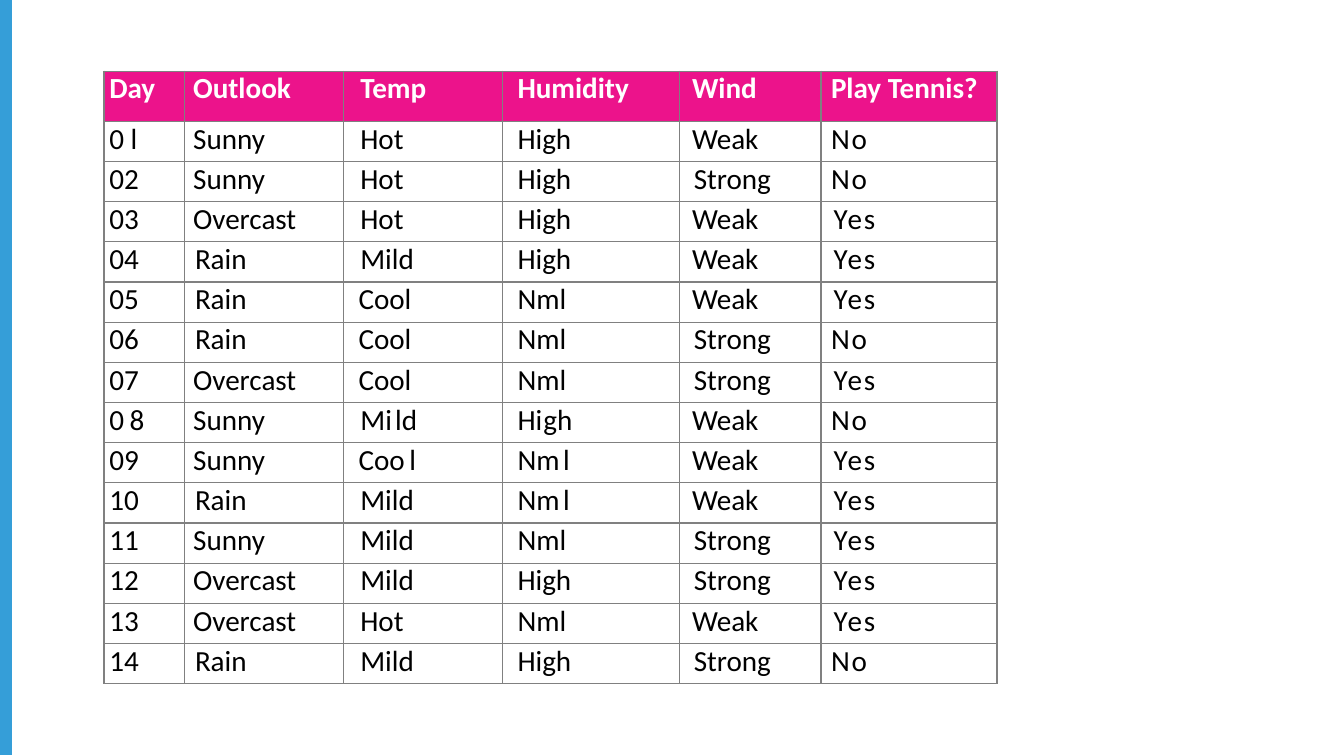
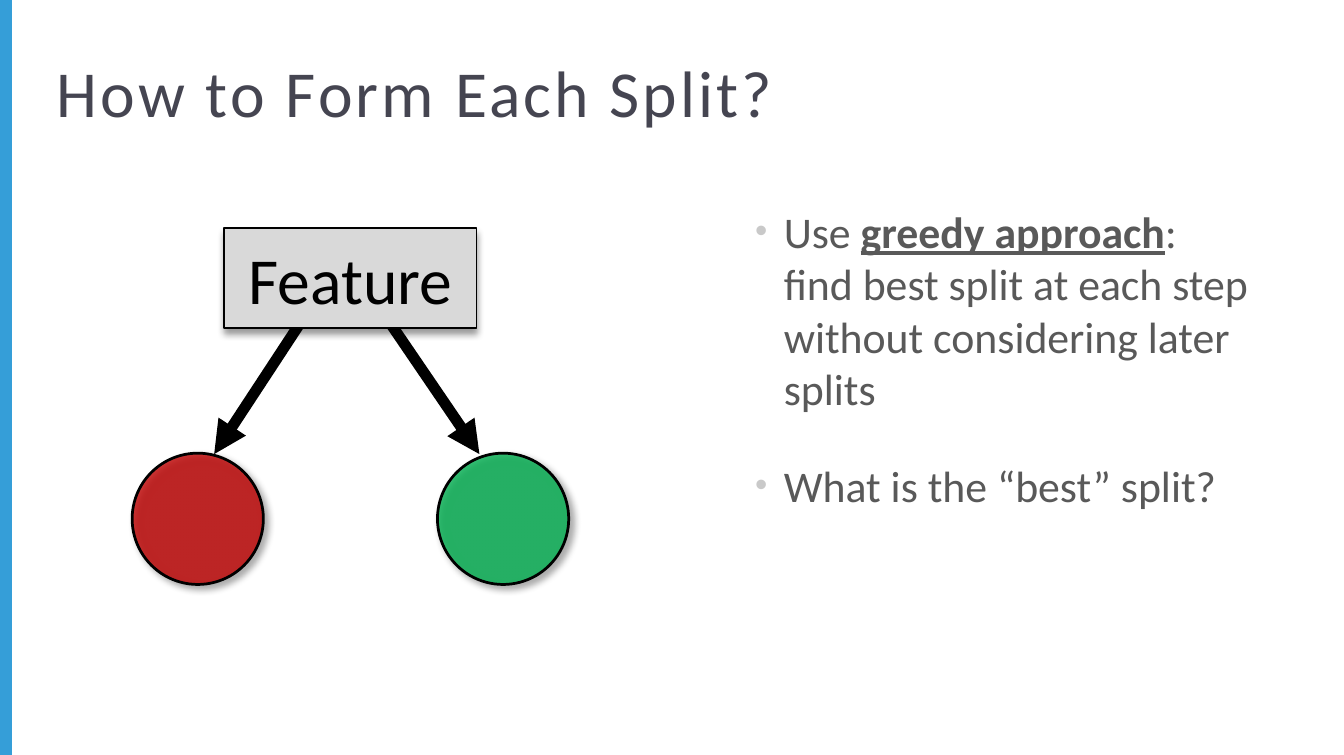
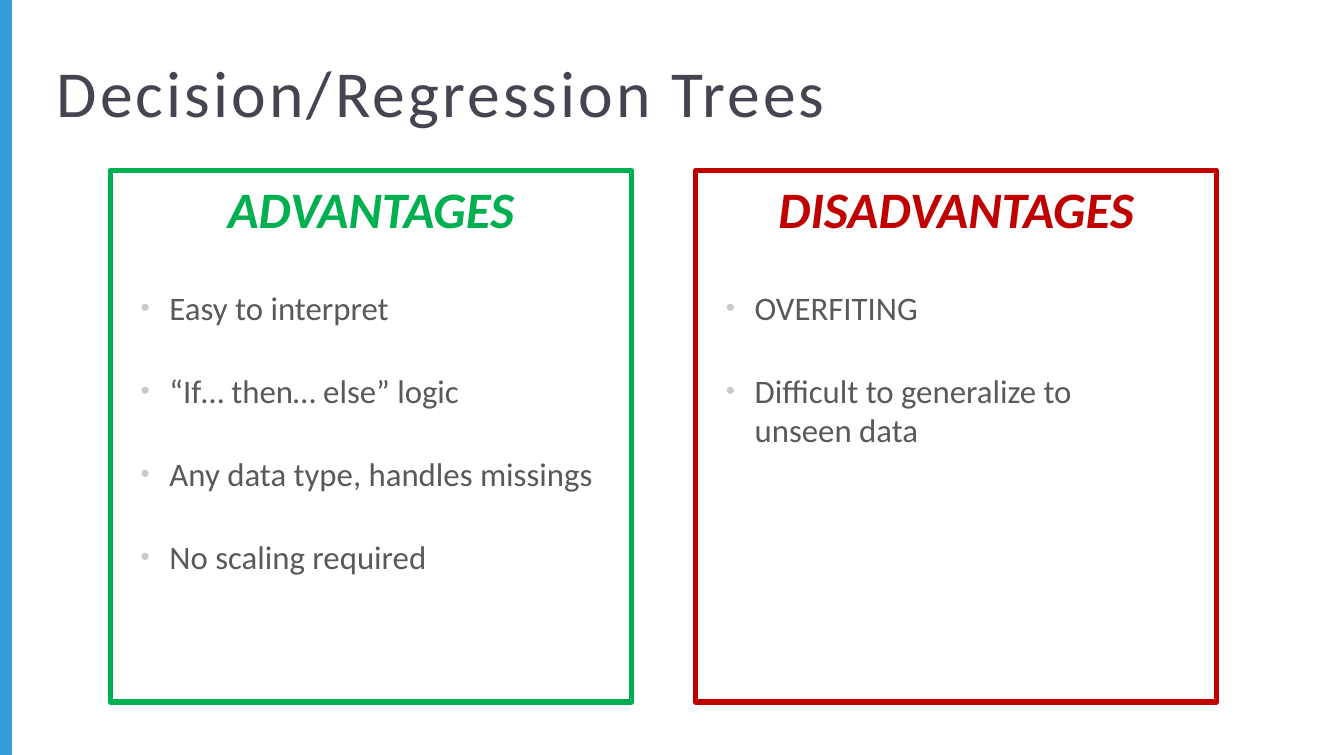
from dataclasses import dataclass
from itertools import product

from lxml.etree import SubElement as Sub
from pptx import Presentation
from pptx.dml.color import RGBColor as RGB
from pptx.enum.shapes import MSO_CONNECTOR as Link
from pptx.enum.shapes import MSO_SHAPE as Kind
from pptx.enum.text import MSO_ANCHOR as Anchor
from pptx.enum.text import MSO_AUTO_SIZE as Fit
from pptx.enum.text import PP_ALIGN as Align
from pptx.oxml import parse_xml
from pptx.oxml.ns import nsdecls, qn
from pptx.presentation import Presentation as Deck
from pptx.shapes.autoshape import Shape
from pptx.slide import Slide
from pptx.text.text import Font
from pptx.util import Pt


@dataclass(frozen=True)
class Theme:
    face: str = "Calibri"
    # Colours
    band: str = "359ED8"
    title: str = "454551"
    body: str = "595959"
    bullet: str = "C9C9C9"
    head: str = "EC138B"
    grid: str = "808080"
    box: str = "D9D9D9"
    green: str = "00B050"
    red: str = "C00000"
    black: str = "000000"
    white: str = "FFFFFF"
    # Type sizes
    big: float = 36
    label: float = 28
    lead: float = 24
    text: float = 18
    cell: float = 16


T = Theme()
WIDE, HIGH = 737.28, 414


@dataclass(frozen=True)
class Box:
    x: float
    y: float
    w: float
    h: float

    def lengths(self) -> tuple[Pt, ...]:
        return Pt(self.x), Pt(self.y), Pt(self.w), Pt(self.h)


@dataclass(frozen=True)
class Column:
    name: str
    width: float
    inset: float
    track: float = 0


@dataclass(frozen=True)
class Node:
    x: float
    color: str
    start: float
    tip: float


@dataclass(frozen=True)
class Panel:
    name: str
    color: str
    x: float
    width: float
    items: tuple[str, ...]


# Table content
COLS = (
    Column("Day", 44, 3),
    Column("Outlook", 87.25, 5),
    Column("Temp", 87.25, 9.5),
    Column("Humidity", 97.25, 8.5),
    Column("Wind", 77.75, 7),
    Column("Play Tennis?", 96.5, 5.5, 1),
)
DAYS = (
    ("0 l", "Sunny", "Hot", "High", "Weak", "No"),
    ("02", "Sunny", "Hot", "High", "Strong", "No"),
    ("03", "Overcast", "Hot", "High", "Weak", "Yes"),
    ("04", "Rain", "Mild", "High", "Weak", "Yes"),
    ("05", "Rain", "Cool", "Nml", "Weak", "Yes"),
    ("06", "Rain", "Cool", "Nml", "Strong", "No"),
    ("07", "Overcast", "Cool", "Nml", "Strong", "Yes"),
    ("08", "Sunny", "Mild", "High", "Weak", "No"),
    ("09", "Sunny", "Cool", "Nml", "Weak", "Yes"),
    ("10", "Rain", "Mild", "Nml", "Weak", "Yes"),
    ("11", "Sunny", "Mild", "Nml", "Strong", "Yes"),
    ("12", "Overcast", "Mild", "High", "Strong", "Yes"),
    ("13", "Overcast", "Hot", "Nml", "Weak", "Yes"),
    ("14", "Rain", "Mild", "High", "Strong", "No"),
)
# Extra inset by word; (row, column) -> (letter index, tracking)
NUDGE = {"Rain": 1, "Strong": 1, "Cool": -1, "Yes": 1.5}
KERN = {(8, 0): (0, 3), (8, 2): (1, 1.8), (8, 3): (1, 0.6),
        (9, 2): (2, 2.5), (9, 3): (1, 2), (10, 3): (1, 2)}

# Split diagram and panels
NODES = (Node(72.5, T.red, 183.5, 117.5), Node(240, T.green, 194.5, 263))
PANELS = (
    Panel("ADVANTAGES", T.green, 60.5, 268, (
        "Easy to interpret", "“If… then… else” logic",
        "Any data type, handles missings", "No scaling required")),
    Panel("DISADVANTAGES", T.red, 381.5, 252.5, (
        "OVERFITING", "Difficult to generalize to unseen data")),
)


# Shared helpers
def style(font: Font, size: float, color: str, bold: bool = False,
          slant: bool = False) -> None:
    font.name, font.size = T.face, Pt(size)
    font.bold, font.italic = bold, slant
    font.color.rgb = RGB.from_string(color)


def track(font: Font, points: float) -> None:
    font._rPr.set("spc", str(round(points * 100)))


def place(shape: Shape, box: Box) -> None:
    shape.left, shape.top, shape.width, shape.height = box.lengths()


def draw(slide: Slide, kind: Kind, box: Box, fill: str = "",
         line: str = "", weight: float = 0) -> Shape:
    shape = slide.shapes.add_shape(kind, *box.lengths())
    shape.shadow.inherit = False
    if fill:
        shape.fill.solid()
        shape.fill.fore_color.rgb = RGB.from_string(fill)
    else:
        shape.fill.background()
    if line:
        shape.line.color.rgb = RGB.from_string(line)
        shape.line.width = Pt(weight)
    else:
        shape.line.fill.background()
    return shape


def shade(shape: Shape, angle: int) -> None:
    glow = shape.element.spPr.find(qn("a:effectLst"))
    cast = Sub(glow, qn("a:outerShdw"), blurRad=str(Pt(4)), dist=str(Pt(3)),
               dir=str(angle * 60000), algn="ctr", rotWithShape="0")
    tint = Sub(cast, qn("a:srgbClr"), val=T.black)
    Sub(tint, qn("a:alpha"), val="40000")


def label(shape: Shape, text: str, size: float, color: str,
          bold: bool = False) -> None:
    para = shape.text_frame.paragraphs[0]
    para.text, para.alignment = text, Align.CENTER
    style(para.font, size, color, bold, bold)


def title(slide: Slide, text: str) -> None:
    shape = slide.shapes.title
    place(shape, Box(24, 20, 584, 60))
    frame = shape.text_frame
    frame.auto_size, frame.vertical_anchor = Fit.NONE, Anchor.MIDDLE
    para = frame.paragraphs[0]
    para.text, para.alignment = text, Align.LEFT
    style(para.font, T.big, T.title)
    track(para.font, 1.7)


def bullets(shape: Shape, box: Box, size: float,
            items: tuple[tuple[str, ...], ...]) -> None:
    """Fill a list; every second part of an item is emphasised."""
    place(shape, box)
    frame = shape.text_frame
    frame.auto_size, frame.vertical_anchor = Fit.NONE, Anchor.TOP
    for n, parts in enumerate(items):
        para = frame.add_paragraph() if n else frame.paragraphs[0]
        para.space_before = Pt(24 if n else 0)
        props = para._p.get_or_add_pPr()
        props.set("marL", str(Pt(15.8)))
        props.set("indent", str(-Pt(15.8)))
        Sub(Sub(props, qn("a:buClr")), qn("a:srgbClr"), val=T.bullet)
        Sub(props, qn("a:buSzPct"), val="80000")
        Sub(props, qn("a:buChar"), char="•")
        style(para.font, size, T.body)
        for k, part in enumerate(parts):
            run = para.add_run()
            run.text = part
            if k % 2:
                run.font.bold = run.font.underline = True


def band(deck: Deck, slide: Slide) -> None:
    """Put the side band on the master, behind everything."""
    bar = draw(slide, Kind.RECTANGLE, Box(0, 0, 6.5, HIGH), T.band)
    deck.slide_master.shapes.element.insert(2, bar.element)


# Slides
def tennis(slide: Slide) -> None:
    width = sum(col.width for col in COLS)
    table = slide.shapes.add_table(
        len(DAYS) + 1, len(COLS), *Box(57, 39, width, 336).lengths()).table
    table.first_row = table.horz_banding = False
    for n, col in enumerate(COLS):
        table.columns[n].width = Pt(col.width)
    for n, row in enumerate(table.rows):
        row.height = Pt(22.03 if n else 27.5)

    grid = (tuple(col.name for col in COLS), *DAYS)
    for r, c in product(range(len(grid)), range(len(COLS))):
        cell, text, col = table.cell(r, c), grid[r][c], COLS[c]
        cell.margin_top = cell.margin_right = cell.margin_bottom = 0
        cell.margin_left = Pt(col.inset + NUDGE.get(text, 0))
        props = cell._tc.get_or_add_tcPr()
        for side in "LRTB":
            props.append(parse_xml(
                f'<a:ln{side} {nsdecls("a")} w="{Pt(0.75)}"><a:solidFill>'
                f'<a:srgbClr val="{T.grid}"/></a:solidFill></a:ln{side}>'))
        if r:
            cell.fill.background()
        else:
            cell.fill.solid()
            cell.fill.fore_color.rgb = RGB.from_string(T.head)

        para = cell.text_frame.paragraphs[0]
        style(para.font, T.cell, T.black if r else T.white, not r)
        if r and col.track:
            track(para.font, col.track)
        if (r, c) in KERN:
            at, gap = KERN[r, c]
            for part in filter(None, (text[:at], text[at], text[at + 1:])):
                run = para.add_run()
                run.text = part
            track(para.runs[1 if at else 0].font, gap)
        else:
            para.add_run().text = text


def arrow(slide: Slide, node: Node) -> None:
    line = slide.shapes.add_connector(
        Link.STRAIGHT, Pt(node.start), Pt(148.5), Pt(node.tip), Pt(249))
    line.line.color.rgb = RGB.from_string(T.black)
    line.line.width = Pt(6)
    Sub(line.line._get_or_add_ln(), qn("a:tailEnd"), type="triangle")
    Sub(line.element.spPr, qn("a:effectLst"))


def split(slide: Slide) -> None:
    title(slide, "How to Form Each Split?")
    for node in NODES:
        arrow(slide, node)
    for node in NODES:
        ball = draw(slide, Kind.OVAL, Box(node.x, 248.5, 72, 72),
                    node.color, T.black, 1.5)
        tint = ball.element.spPr.find(qn("a:solidFill"))[0]
        Sub(tint, qn("a:alpha"), val="79000")
        shade(ball, 45)
    box = draw(slide, Kind.RECTANGLE, Box(123, 125, 138.5, 55),
               T.box, T.black, 0.75)
    shade(box, 90)
    label(box, "Feature", T.big, T.black)
    bullets(slide.placeholders[1], Box(407, 108.5, 286, 285), T.lead, (
        ("Use ", "greedy approach", ": find best split at each step "
         "without considering later splits"),
        ("What is the “best” split?",)))


def trees(slide: Slide) -> None:
    title(slide, "Decision/Regression Trees")
    for n, panel in enumerate(PANELS, 1):
        frame = draw(slide, Kind.RECTANGLE, Box(panel.x, 93.5, 286, 291.5),
                     line=panel.color, weight=3)
        frame.text_frame.vertical_anchor = Anchor.TOP
        label(frame, panel.name, T.label, panel.color, True)
        bullets(slide.placeholders[n],
                Box(panel.x + 9.5, 154, panel.width, 224), T.text,
                tuple((item,) for item in panel.items))


def main() -> None:
    deck = Presentation()
    deck.slide_width, deck.slide_height = Pt(WIDE), Pt(HIGH)
    # Layouts: 6 blank, 1 title and list, 3 title and two lists
    first, second, third = (
        deck.slides.add_slide(deck.slide_layouts[n]) for n in (6, 1, 3))
    band(deck, first)
    tennis(first)
    split(second)
    trees(third)
    deck.save("out.pptx")


if __name__ == "__main__":
    main()
